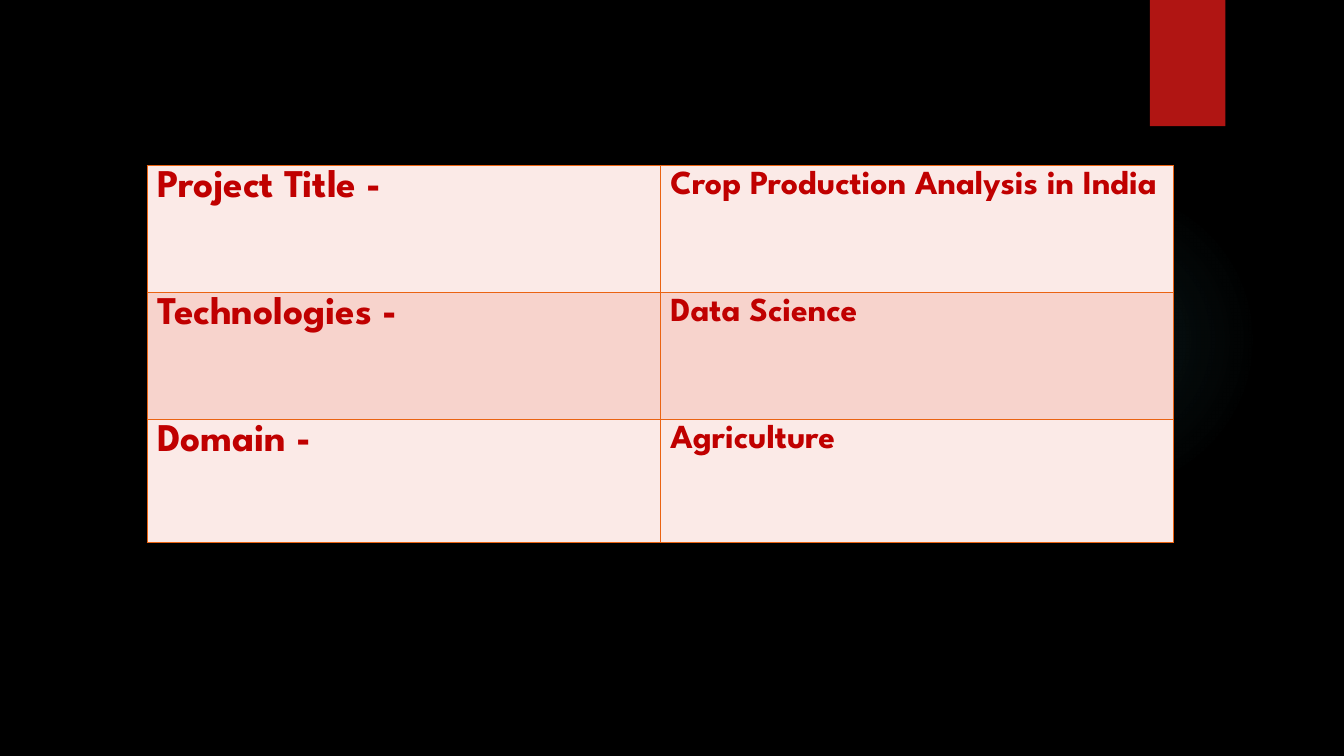
"""Build a project summary slide: a three-row table on a black ground."""
from dataclasses import dataclass

from lxml.etree import SubElement as Sub
from pptx import Presentation as Deck
from pptx.dml.color import RGBColor as Rgb
from pptx.enum.shapes import MSO_SHAPE as Kind
from pptx.oxml.ns import qn
from pptx.util import Cm, Pt


@dataclass(frozen=True)
class Theme:
    font: str = "League Spartan"
    back: str = "000000"
    ink: str = "C00000"
    flag: str = "B01513"
    glow: str = "50B9C1"
    edge: str = "EA6312"
    bands: tuple = ("FBEAE7", "F7D3CC")
    sizes: tuple = (28, 24)


def paint(fill, tone):
    fill.solid()
    fill.fore_color.rgb = Rgb.from_string(tone)


def write(frame, text, *, font, size, tone, bold=False):
    run = frame.paragraphs[0].add_run()
    run.text = text
    run.font.name = font
    run.font.size = Pt(size)
    run.font.bold = bold
    run.font.color.rgb = Rgb.from_string(tone)


def tint(node, tone):
    return Sub(node, qn("a:srgbClr"), val=tone)


class Board:
    def __init__(self, deck, theme):
        self.theme = theme
        self.slide = deck.slides.add_slide(deck.slide_layouts[6])
        paint(self.slide.background.fill, theme.back)

    def shape(self, kind, left, top, wide, high, tone):
        item = self.slide.shapes.add_shape(
            kind, Cm(left), Cm(top), Cm(wide), Cm(high))
        item.shadow.inherit = False
        item.line.fill.background()
        paint(item.fill, tone)
        return item

    def glow(self, left, top, size, stops):
        tone = self.theme.glow
        item = self.shape(Kind.OVAL, left, top, size, size, tone)
        props = item.element.spPr
        old = props.find(qn("a:solidFill"))
        grad = Sub(props, qn("a:gradFill"), rotWithShape="1")
        props.replace(old, grad)
        marks = Sub(grad, qn("a:gsLst"))
        for place, alpha in stops:
            stop = Sub(marks, qn("a:gs"), pos=str(place * 1000))
            Sub(tint(stop, tone), qn("a:alpha"), val=str(alpha * 1000))
        way = Sub(grad, qn("a:path"), path="circle")
        Sub(way, qn("a:fillToRect"), l="50000", t="50000", r="50000", b="50000")

    def edges(self, cell):
        props = cell._tc.get_or_add_tcPr()
        for side in "LRTB":
            line = Sub(props, qn(f"a:ln{side}"), w=str(Pt(1)))
            tint(Sub(line, qn("a:solidFill")), self.theme.edge)

    def table(self, left, top, wide, highs, rows):
        theme = self.theme
        count = len(rows[0])
        grid = self.slide.shapes.add_table(
            len(rows), count, Cm(left), Cm(top),
            Cm(wide * count), Cm(sum(highs))).table
        grid.first_row = False
        for col in grid.columns:
            col.width = Cm(wide)
        for i, (row, high) in enumerate(zip(rows, highs)):
            grid.rows[i].height = Cm(high)
            for j, text in enumerate(row):
                cell = grid.cell(i, j)
                self.edges(cell)
                paint(cell.fill, theme.bands[i % 2])
                write(cell.text_frame, text, font=theme.font,
                      size=theme.sizes[j], tone=theme.ink, bold=True)


def main():
    deck = Deck()
    deck.slide_width, deck.slide_height = Cm(33.87), Cm(19.05)
    theme = Theme()
    board = Board(deck, theme)
    board.glow(23.9, 4.65, 7.82, ((0, 7), (36, 6), (69, 0), (100, 0)))
    board.shape(Kind.RECTANGLE, 28.98, 0, 1.9, 3.18, theme.flag)
    board.table(3.71, 4.17, 12.93, (3.2, 3.2, 3.1), (
        ("Project Title -", "Crop Production Analysis in India"),
        ("Technologies -", "Data Science"),
        ("Domain -", "Agriculture"),
    ))
    deck.save("out.pptx")


if __name__ == "__main__":
    main()
